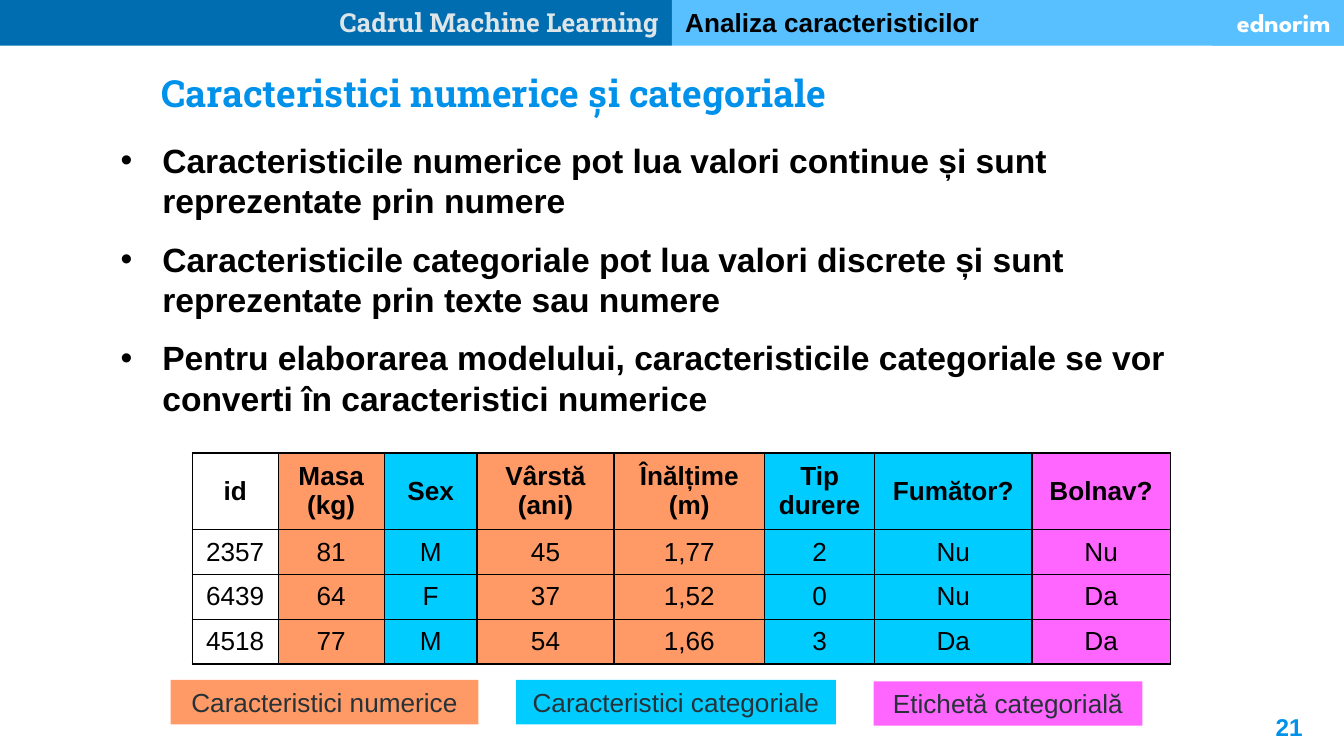
import dataclasses

import pptx
import pptx.dml.color
import pptx.enum.shapes
import pptx.enum.text
import pptx.oxml
import pptx.oxml.ns
import pptx.util

Inches = pptx.util.Inches
Align = pptx.enum.text.PP_ALIGN
Anchor = pptx.enum.text.MSO_ANCHOR


@dataclasses.dataclass(frozen=True)
class Theme:
    black: str = "000000"
    white: str = "FFFFFF"
    accent: str = "0091EA"
    dark_bar: str = "006DB0"
    light_bar: str = "59C0FF"
    bar_text: str = "DEE5E9"
    legend_text: str = "263238"
    numeric: str = "FF9966"
    categorical: str = "00CCFF"
    label: str = "FF66FF"
    body_font: str = "Arial"
    title_font: str = "Roboto Slab"
    badge_font: str = "League Spartan"
    title_size: int = 20
    body_size: int = 18
    small_size: int = 14
    number_size: int = 13


THEME = Theme()

COLUMNS = [
    ("id", 0.64, None),
    ("Masa (kg)", 0.79, THEME.numeric),
    ("Sex", 0.69, THEME.categorical),
    ("Vârstă (ani)", 1.02, THEME.numeric),
    ("Înălțime (m)", 1.12, THEME.numeric),
    ("Tip durere", 0.82, THEME.categorical),
    ("Fumător?", 1.17, THEME.categorical),
    ("Bolnav?", 1.03, THEME.label),
]
RECORDS = [
    ("2357", "81", "M", "45", "1,77", "2", "Nu", "Nu"),
    ("6439", "64", "F", "37", "1,52", "0", "Nu", "Da"),
    ("4518", "77", "M", "54", "1,66", "3", "Da", "Da"),
]
BULLETS = [
    "Caracteristicile numerice pot lua valori continue și sunt reprezentate prin numere",
    "Caracteristicile categoriale pot lua valori discrete și sunt reprezentate prin texte sau numere",
    "Pentru elaborarea modelului, caracteristicile categoriale se vor converti în caracteristici numerice",
]
LEGEND = [
    ("Caracteristici numerice", 0, 0, 2.29, THEME.numeric),
    ("Caracteristici categoriale", 2.57, 0, 2.38, THEME.categorical),
    ("Etichetă categorială", 5.23, 0.01, 2, THEME.label),
]


def rgb(value):
    return pptx.dml.color.RGBColor.from_string(value)


def write_text(frame, text, size=THEME.small_size, font=THEME.body_font,
               color=THEME.black, bold=True, align=Align.LEFT,
               anchor=Anchor.TOP, wrap=True, bullet=False):
    frame.word_wrap = wrap
    frame.vertical_anchor = anchor
    paragraph = frame.paragraphs[0]
    paragraph.alignment = align
    if bullet:
        add_bullet(paragraph)
    run = paragraph.add_run()
    run.text = text
    run.font.size = pptx.util.Pt(size)
    run.font.name = font
    run.font.bold = bold
    run.font.color.rgb = rgb(color)


def add_bullet(paragraph):
    properties = paragraph._p.get_or_add_pPr()
    indent = Inches(0.31)
    properties.set("marL", str(indent))
    properties.set("indent", str(-indent))
    namespace = pptx.oxml.ns.nsdecls("a")
    for element in (
        f'<a:buClr {namespace}><a:srgbClr val="{THEME.black}"/></a:buClr>',
        f'<a:buFont {namespace} typeface="{THEME.body_font}"/>',
        f'<a:buChar {namespace} char="•"/>',
    ):
        properties.append(pptx.oxml.parse_xml(element))


def add_text_box(slide, box, text, **text_format):
    shape = slide.shapes.add_textbox(*map(Inches, box))
    write_text(shape.text_frame, text, **text_format)


def add_rectangle(slide, box, fill, text, **text_format):
    shape = slide.shapes.add_shape(
        pptx.enum.shapes.MSO_SHAPE.RECTANGLE, *map(Inches, box))
    shape.shadow.inherit = False
    shape.fill.solid()
    shape.fill.fore_color.rgb = rgb(fill)
    shape.line.fill.background()
    write_text(shape.text_frame, text, **text_format)


def add_header(slide, box):
    left, top, width, height = box
    half = width / 2
    badge_width = 0.98
    add_rectangle(slide, (left, top, half, height), THEME.dark_bar,
                  "Cadrul Machine Learning", font=THEME.title_font,
                  color=THEME.bar_text, align=Align.RIGHT)
    add_rectangle(slide, (left + half, top, half, height), THEME.light_bar,
                  "Analiza caracteristicilor")
    add_rectangle(slide, (left + width - badge_width, top, badge_width, height),
                  THEME.light_bar, "ednorim", font=THEME.badge_font,
                  color=THEME.white, align=Align.RIGHT)


def add_bullets(slide, box):
    left, top, width, height = box
    item_height = 0.71
    step = (height - item_height) / (len(BULLETS) - 1)
    for index, text in enumerate(BULLETS):
        add_text_box(slide, (left, top + index * step, width, item_height), text,
                     size=THEME.body_size, bullet=True)


def add_borders(cell):
    properties = cell._tc.get_or_add_tcPr()
    width = pptx.util.Pt(0.75)
    for side in ("lnL", "lnR", "lnT", "lnB"):
        properties.append(pptx.oxml.parse_xml(
            f'<a:{side} {pptx.oxml.ns.nsdecls("a")} w="{width}"><a:solidFill>'
            f'<a:srgbClr val="{THEME.black}"/></a:solidFill></a:{side}>'))


def add_data_table(slide, box):
    header_height = 0.57
    row_height = (box[3] - header_height) / len(RECORDS)
    rows = [[name for name, _, _ in COLUMNS], *RECORDS]
    table = slide.shapes.add_table(
        len(rows), len(COLUMNS), *map(Inches, box)).table
    table.first_row = False
    table.horz_banding = False
    for column, (_, width, _) in zip(table.columns, COLUMNS):
        column.width = Inches(width)
    for row_index, values in enumerate(rows):
        is_header = row_index == 0
        table.rows[row_index].height = Inches(
            header_height if is_header else row_height)
        for column_index, text in enumerate(values):
            cell = table.cell(row_index, column_index)
            add_borders(cell)
            fill = COLUMNS[column_index][2]
            if fill:
                cell.fill.solid()
                cell.fill.fore_color.rgb = rgb(fill)
            else:
                cell.fill.background()
            write_text(cell.text_frame, text, bold=is_header, align=Align.CENTER)
            cell.vertical_anchor = Anchor.MIDDLE


def add_legend(slide, box):
    left, top, _, height = box
    for text, across, down, width, fill in LEGEND:
        add_rectangle(slide, (left + across, top + down, width, height), fill,
                      text, color=THEME.legend_text, bold=False,
                      align=Align.CENTER, anchor=Anchor.MIDDLE)


def add_features_slide(presentation):
    slide = presentation.slides.add_slide(presentation.slide_layouts[6])
    add_text_box(slide, (9.19, 5.19, 0.6, 0.43), "21", size=THEME.number_size,
                 color=THEME.accent, align=Align.RIGHT, anchor=Anchor.MIDDLE)
    add_text_box(slide, (1.1, 0.47, 5.18, 0.44),
                 "Caracteristici numerice și categoriale", size=THEME.title_size,
                 font=THEME.title_font, color=THEME.accent,
                 align=Align.JUSTIFY, wrap=False)
    add_bullets(slide, (0.8, 0.99, 8.23, 2.18))
    add_data_table(slide, (1.43, 3.37, 7.28, 1.57))
    add_legend(slide, (1.27, 5.06, 7.23, 0.33))
    add_header(slide, (0, 0, 10, 0.34))


def main():
    presentation = pptx.Presentation()
    presentation.slide_width = Inches(10)
    presentation.slide_height = presentation.slide_width * 9 // 16
    add_features_slide(presentation)
    presentation.save("out.pptx")


if __name__ == "__main__":
    main()
